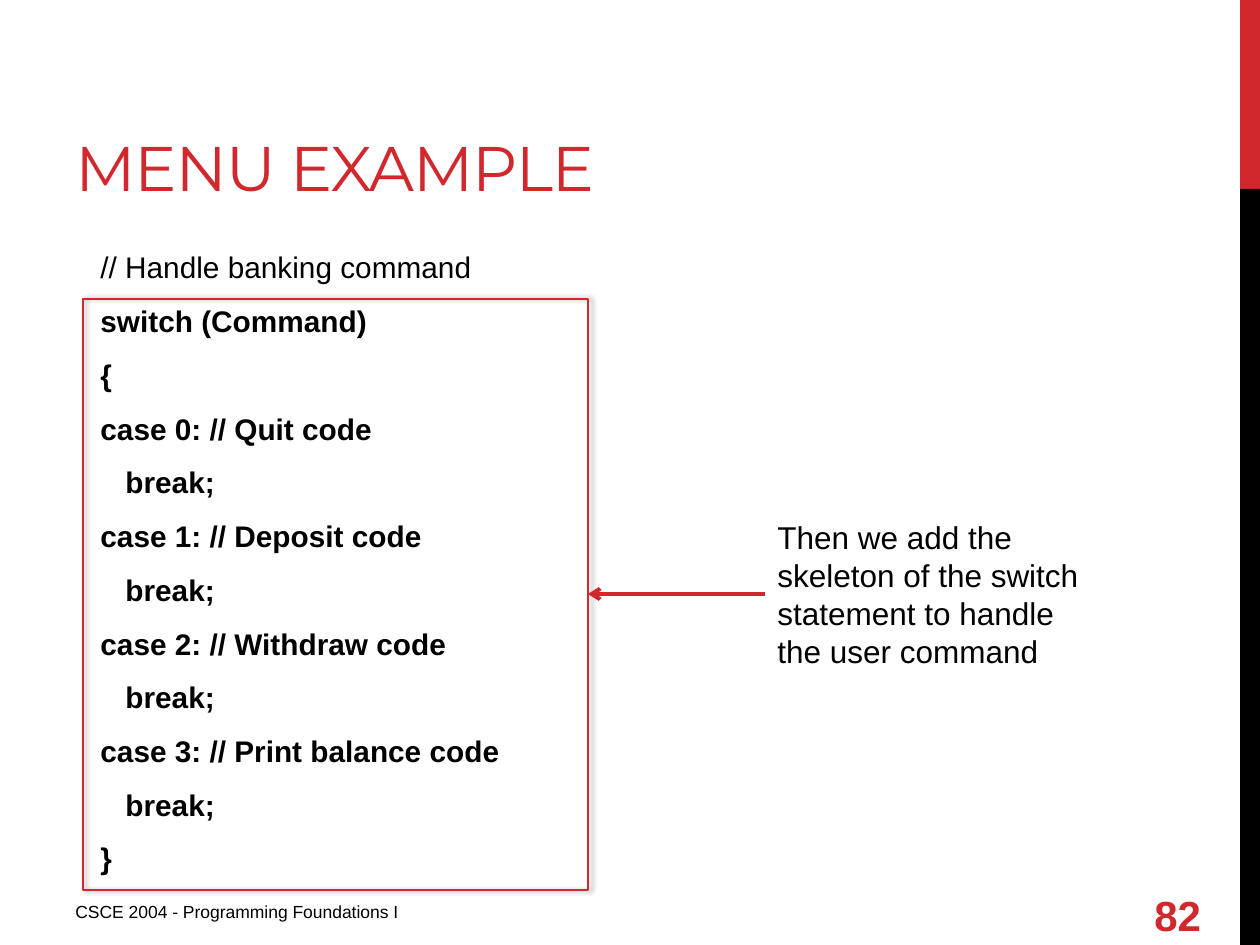
import lxml.etree
import pptx
import pptx.dml.color
import pptx.enum.shapes
import pptx.enum.text
import pptx.oxml
import pptx.oxml.ns
import pptx.util

PX = 914400 / 126
COLORS = {"red": "D1282E", "black": "000000"}
ANCHOR = pptx.enum.text.MSO_ANCHOR
RECTANGLE = pptx.enum.shapes.MSO_SHAPE.RECTANGLE
qn = pptx.oxml.ns.qn


def emu(*lengths):
    return [round(length * PX) for length in lengths]


def add_text(box, lines, size, color, font="Arial", anchor=ANCHOR.TOP):
    """Fill a text box; each line is (text, bold, indent in px)."""
    frame = box.text_frame
    frame.word_wrap = True
    frame.vertical_anchor = anchor
    for number, (text, bold, indent) in enumerate(lines):
        paragraph = frame.paragraphs[0] if number == 0 else frame.add_paragraph()
        paragraph._p.get_or_add_pPr().set("marL", str(emu(indent)[0]))
        run = paragraph.add_run()
        run.text = text
        run.font.name = font
        run.font.size = pptx.util.Pt(size)
        run.font.bold = bold
        run.font.color.rgb = pptx.dml.color.RGBColor.from_string(COLORS[color])
    return frame


deck = pptx.Presentation()
deck.slide_width, deck.slide_height = emu(1260, 945)
slide = deck.slides.add_slide(deck.slide_layouts[6])
shapes = slide.shapes
red = pptx.dml.color.RGBColor.from_string(COLORS["red"])

# Side bars
for top, height, color in [(0, 189, "red"), (189, 756, "black")]:
    bar = shapes.add_shape(RECTANGLE, *emu(1240, top, 20, height))
    bar.shadow.inherit = False
    bar.fill.solid()
    bar.fill.fore_color.rgb = pptx.dml.color.RGBColor.from_string(COLORS[color])
    bar.line.fill.background()

# Title
title = add_text(shapes.add_textbox(*emu(63, 21, 798, 189)),
                 [("MENU EXAMPLE", False, 0)], 36, "red", "Montserrat", ANCHOR.BOTTOM)
title.paragraphs[0].runs[0].font._element.set("spc", "-60")

# Code listing
STEP = 25
cases = ["Quit", "Deposit", "Withdraw", "Print balance"]
code = [("// Handle banking command", False, STEP),
        ("switch (Command)", True, STEP),
        ("{", True, STEP)]
for number, action in enumerate(cases):
    code += [(f"case {number}: // {action} code", True, STEP),
             ("break;", True, 2 * STEP)]
code.append(("}", True, STEP))
listing = add_text(shapes.add_textbox(*emu(63, 243, 1050, 602)), code, 17, "black")
for paragraph in listing.paragraphs:
    paragraph.space_after = pptx.util.Pt(10.3)

# Footer and page number
add_text(shapes.add_textbox(*emu(63, 895, 473, 39)),
         [("CSCE 2004 - Programming Foundations I", False, 0)], 10, "black")
add_text(shapes.add_textbox(*emu(1142, 890, 93, 50)),
         [("82", True, 0)], 24, "red", anchor=ANCHOR.MIDDLE)

# Frame around the switch statement, with a soft shadow
frame = shapes.add_shape(RECTANGLE, *emu(83, 299, 505, 591))
frame.fill.background()
frame.line.color.rgb = red
frame.line.width = pptx.util.Pt(1)
frame.shadow.inherit = False
effects = frame._element.spPr.find(qn("a:effectLst"))
shadow = lxml.etree.SubElement(effects, qn("a:outerShdw"), blurRad=str(pptx.util.Pt(3.1)),
                               dist=str(pptx.util.Pt(1.8)), dir="0", rotWithShape="0")
shade = lxml.etree.SubElement(shadow, qn("a:srgbClr"), val=COLORS["black"])
lxml.etree.SubElement(shade, qn("a:alpha"), val="40000")

# Explanation
add_text(shapes.add_textbox(*emu(765, 512, 328, 165)),
         [("Then we add the skeleton of the switch statement to handle the user command",
           False, 0)], 18, "black")

# Arrow from the explanation to the frame
arrow = shapes.add_connector(pptx.enum.shapes.MSO_CONNECTOR.STRAIGHT,
                             *emu(765, 594, 588, 594))
arrow.line.color.rgb = red
arrow.line.width = pptx.util.Pt(2.25)
lxml.etree.SubElement(arrow.line._get_or_add_ln(), qn("a:tailEnd"), type="arrow")
lxml.etree.SubElement(arrow._element.spPr, qn("a:effectLst"))

deck.save("out.pptx")
